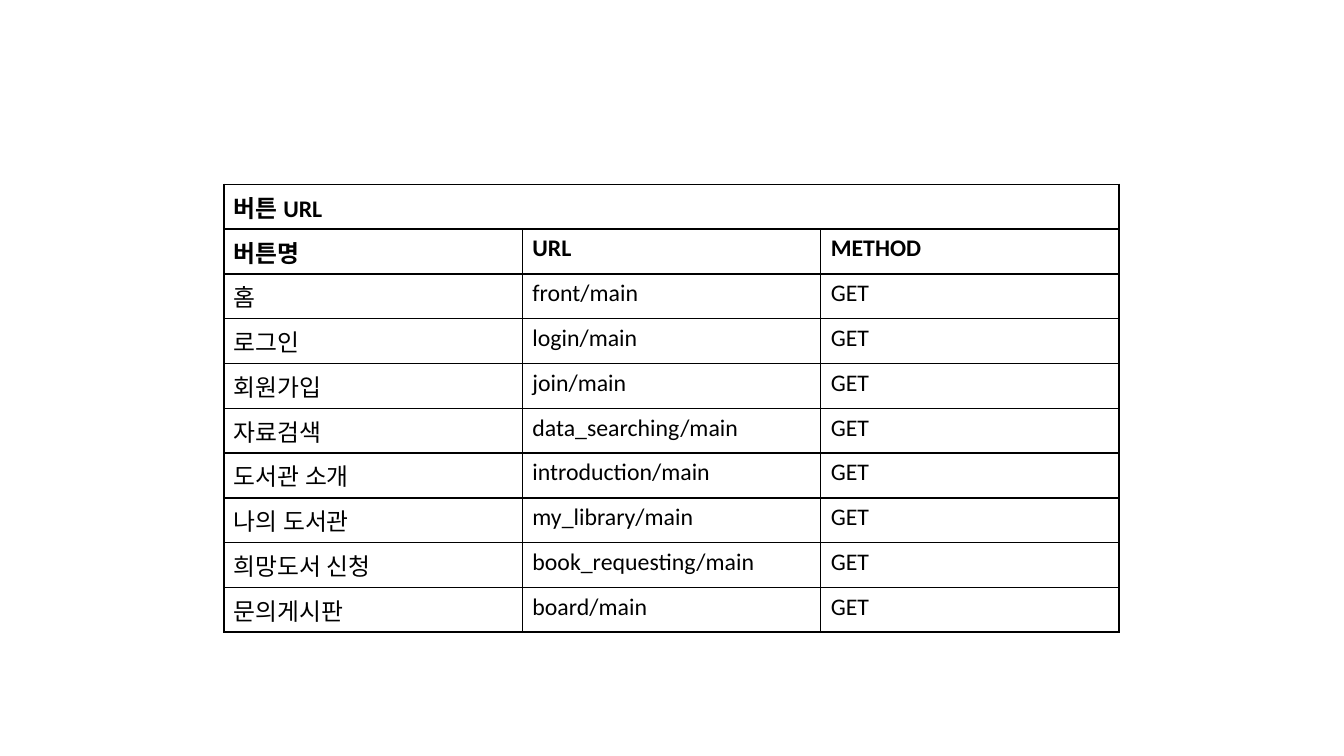
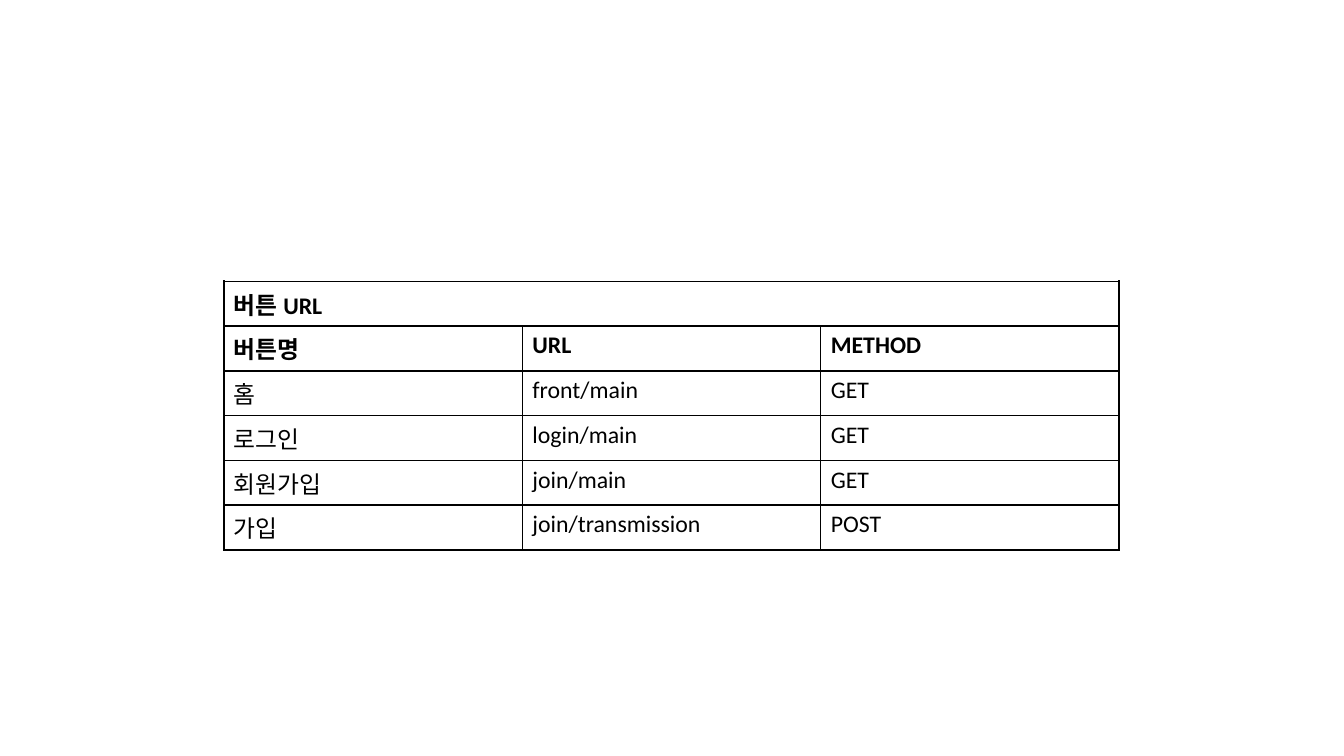
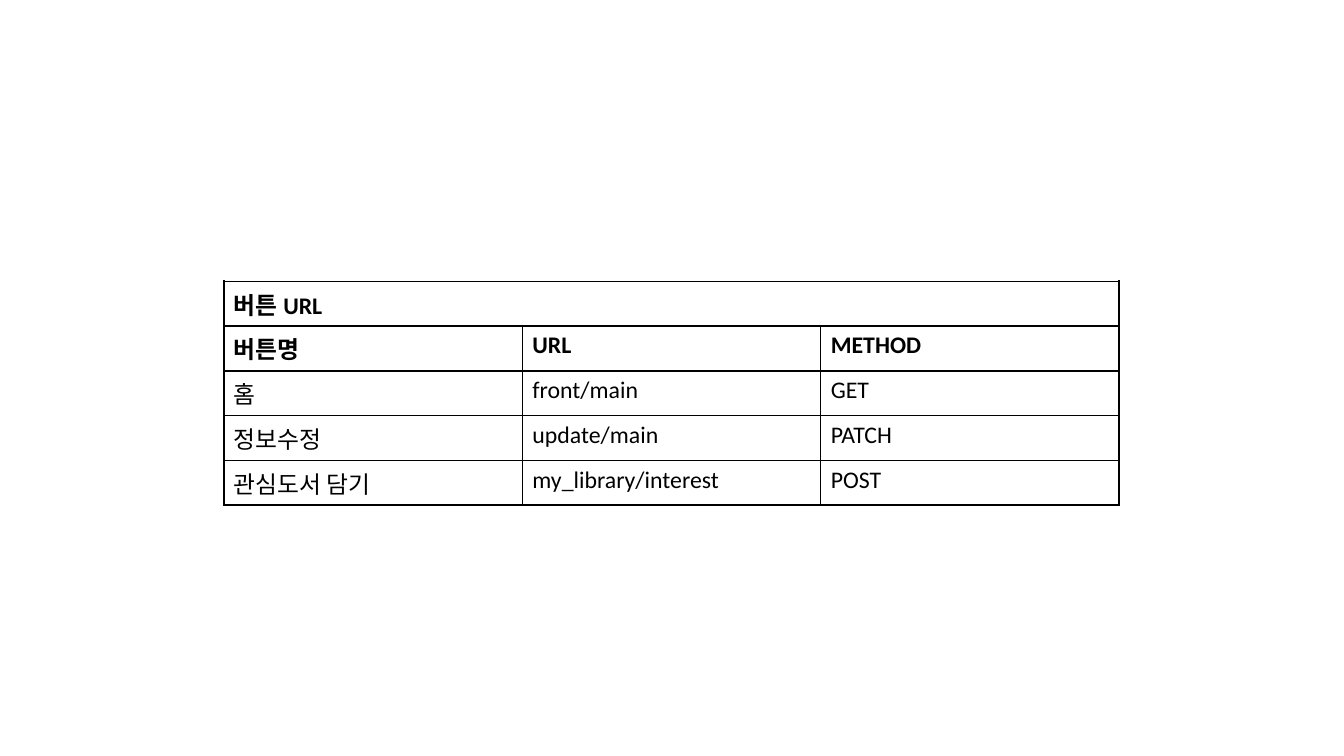
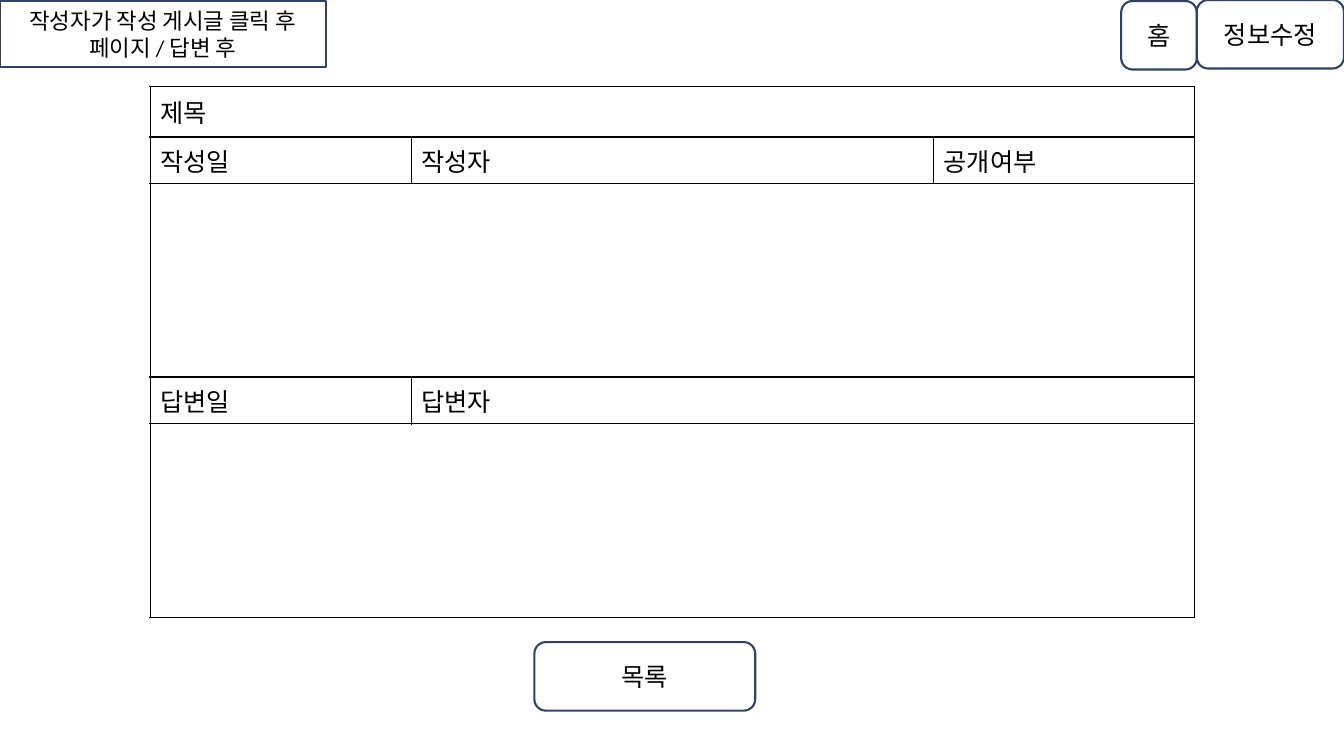
import pptx
import pptx.dml.color
import pptx.enum.shapes
import pptx.enum.text
import pptx.oxml
import pptx.oxml.ns
import pptx.util

Inches = pptx.util.Inches
Pt = pptx.util.Pt
MIDDLE = pptx.enum.text.MSO_ANCHOR.MIDDLE
TOP = pptx.enum.text.MSO_ANCHOR.TOP
RECTANGLE = pptx.enum.shapes.MSO_SHAPE.RECTANGLE
ROUNDED = pptx.enum.shapes.MSO_SHAPE.ROUNDED_RECTANGLE


def color(value):
    return pptx.dml.color.RGBColor.from_string(value)


class Storyboard:
    font = "Calibri"
    ink = "000000"
    paper = "FFFFFF"
    outline = "30416A"
    border_width = 1.2

    def __init__(self):
        self.deck = pptx.Presentation()
        self.deck.slide_width = Inches(13.33)
        self.deck.slide_height = Inches(7.5)
        self.page = None

    def add_page(self):
        self.page = self.deck.slides.add_slide(self.deck.slide_layouts[6])

    def set_text(self, frame, text, size, bold=False):
        frame.text = text
        para = frame.paragraphs[0]
        for span in para.runs:
            span.font.name = self.font
            span.font.size = Pt(size)
            span.font.bold = bold
            span.font.color.rgb = color(self.ink)
        return para

    def add_borders(self, cell):
        properties = cell._tc.get_or_add_tcPr()
        for side in ("lnL", "lnR", "lnT", "lnB"):
            properties.append(pptx.oxml.parse_xml(
                f'<a:{side} {pptx.oxml.ns.nsdecls("a")} w="{Pt(self.border_width)}">'
                f'<a:solidFill><a:srgbClr val="{self.ink}"/></a:solidFill></a:{side}>'))

    def add_grid(self, left, top, column_width, heights, rows, size, anchor, bold_rows=0):
        columns = len(rows[0])
        table = self.page.shapes.add_table(
            len(rows), columns, Inches(left), Inches(top),
            Inches(column_width * columns), Inches(sum(heights))).table
        table.first_row = False
        table.horz_banding = False
        for column in table.columns:
            column.width = Inches(column_width)
        for index, (height, texts) in enumerate(zip(heights, rows)):
            table.rows[index].height = Inches(height)
            starts = [place for place, text in enumerate(texts) if text is not None]
            for start, end in zip(starts, starts[1:] + [columns]):
                if end - start > 1:
                    table.cell(index, start).merge(table.cell(index, end - 1))
            for place, text in enumerate(texts):
                cell = table.cell(index, place)
                self.add_borders(cell)
                cell.fill.solid()
                cell.fill.fore_color.rgb = color(self.paper)
                cell.vertical_anchor = anchor
                if text:
                    self.set_text(cell.text_frame, text, size, index < bold_rows)

    def add_url_table(self, top, entries):
        rows = [("버튼 URL", None, None), ("버튼명", "URL", "METHOD"), *entries]
        self.add_grid(2.22, top, 2.96, [0.44] * len(rows), rows, 17, TOP, bold_rows=2)

    def add_box(self, kind, left, top, width, height, text, size=18):
        box = self.page.shapes.add_shape(
            kind, Inches(left), Inches(top), Inches(width), Inches(height))
        box.shadow.inherit = False
        box.fill.background()
        box.line.color.rgb = color(self.outline)
        box.line.width = Pt(1.5)
        box.text_frame.word_wrap = True
        box.text_frame.vertical_anchor = MIDDLE
        para = self.set_text(box.text_frame, text, size)
        para.alignment = pptx.enum.text.PP_ALIGN.CENTER


URL_TABLES = [
    (1.83, [
        ("홈", "front/main", "GET"),
        ("로그인", "login/main", "GET"),
        ("회원가입", "join/main", "GET"),
        ("자료검색", "data_searching/main", "GET"),
        ("도서관 소개", "introduction/main", "GET"),
        ("나의 도서관", "my_library/main", "GET"),
        ("희망도서 신청", "book_requesting/main", "GET"),
        ("문의게시판", "board/main", "GET"),
    ]),
    (2.79, [
        ("홈", "front/main", "GET"),
        ("로그인", "login/main", "GET"),
        ("회원가입", "join/main", "GET"),
        ("가입", "join/transmission", "POST"),
    ]),
    (2.79, [
        ("홈", "front/main", "GET"),
        ("정보수정", "update/main", "PATCH"),
        ("관심도서 담기", "my_library/interest", "POST"),
    ]),
]

POST_ROWS = [
    ("제목", None, None, None),
    ("작성일", "작성자", None, "공개여부"),
    ("", None, None, None),
    ("답변일", "답변자", None, None),
    ("", None, None, None),
]


def main():
    board = Storyboard()
    for top, entries in URL_TABLES:
        board.add_page()
        board.add_url_table(top, entries)

    board.add_page()
    board.add_box(RECTANGLE, 0, 0.01, 3.23, 0.66,
                  "작성자가 작성 게시글 클릭 후 페이지 / 답변 후", 16)
    board.add_grid(1.49, 0.86, 2.59, [0.5, 0.46, 1.92, 0.46, 1.92], POST_ROWS, 18, MIDDLE)
    board.add_box(ROUNDED, 11.87, 0, 1.46, 0.68, "정보수정")
    board.add_box(ROUNDED, 5.3, 6.37, 2.19, 0.68, "목록")
    board.add_box(ROUNDED, 11.12, 0.01, 0.75, 0.68, "홈")
    board.deck.save("out.pptx")


if __name__ == "__main__":
    main()
